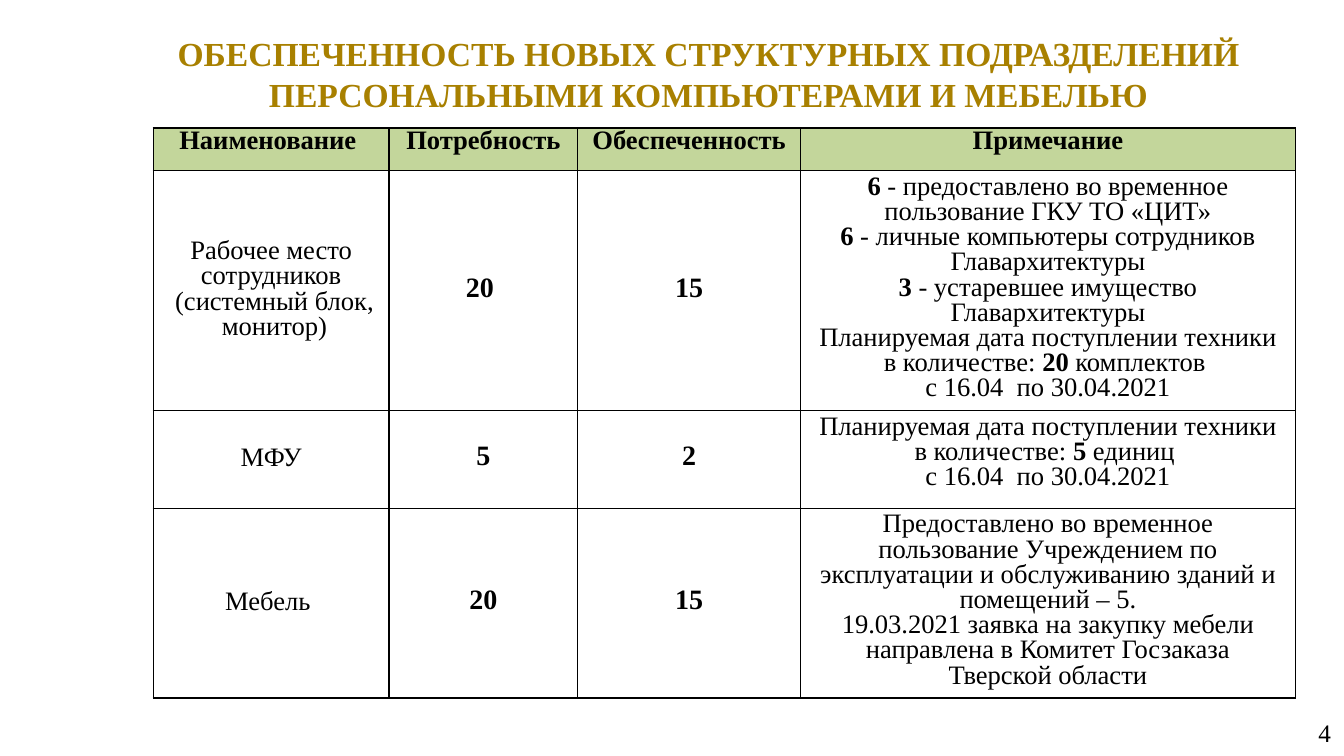
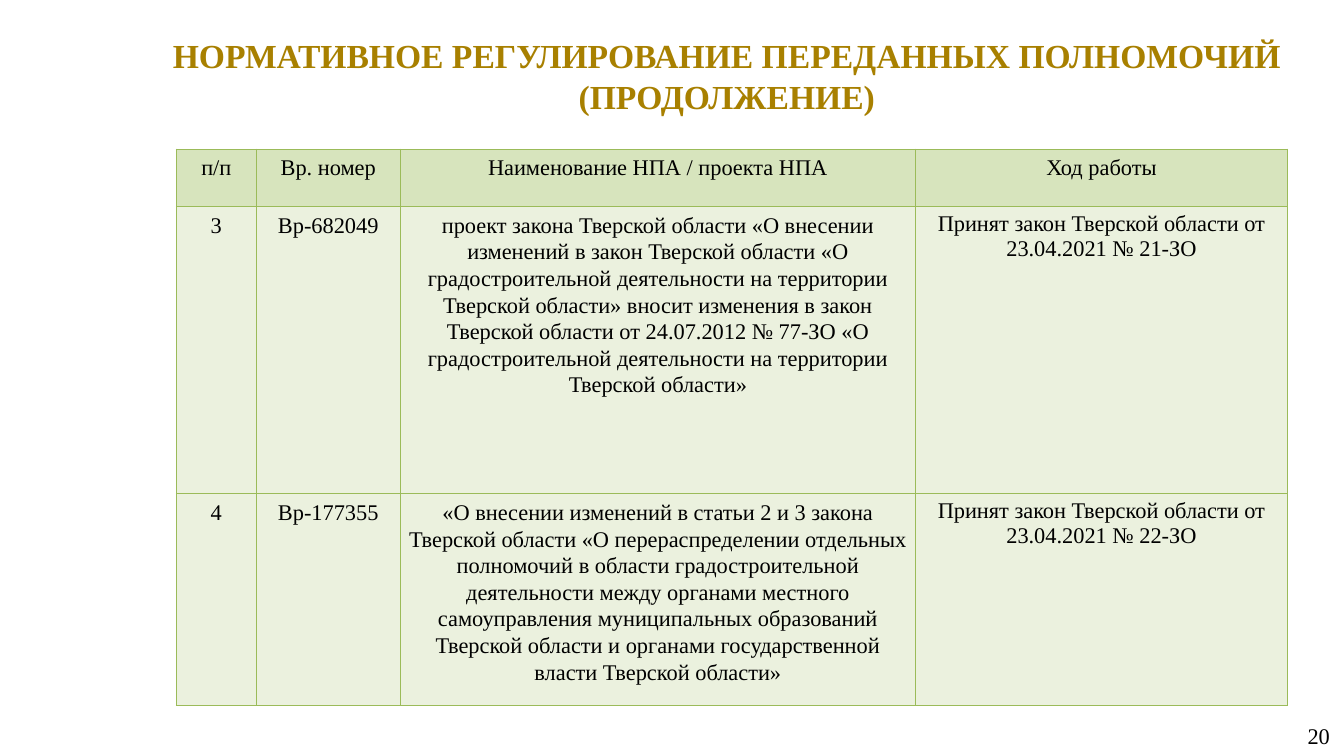
from lxml import etree
from pptx import Presentation, util as u
from pptx.dml import color
from pptx.enum import text as t
from pptx.oxml import ns

WIDTH, HEIGHT = u.Inches(13.33), u.Inches(7.5)
FONT = "Times New Roman"
BLACK, GOLD = "000000", "A88000"
SAGE, LIGHT_GREEN, PALE_GREEN, LEAF = "C3D69B", "D7E4BD", "EBF1DE", "9BBB59"
TOP, MIDDLE = t.MSO_ANCHOR.TOP, t.MSO_ANCHOR.MIDDLE
CENTER, RIGHT = t.PP_ALIGN.CENTER, t.PP_ALIGN.RIGHT
FRAME = {"margin_left": u.Inches(0.13), "margin_right": u.Inches(0.13),
         "margin_top": u.Inches(0.07), "margin_bottom": u.Inches(0.07),
         "word_wrap": True, "auto_size": t.MSO_AUTO_SIZE.NONE}


def across(share):
    """Turn a percentage of the slide width into a length."""
    return u.Emu(round(WIDTH * share / 100))


def down(share):
    """Turn a percentage of the slide height into a length."""
    return u.Emu(round(HEIGHT * share / 100))


def rgb(code):
    return color.RGBColor.from_string(code)


def apply(target, values):
    for name, value in values.items():
        setattr(target, name, value)


def write(frame, content, size, ink=BLACK, bold=False, **layout):
    """Fill a frame, one paragraph a line; ** marks switch the weight."""
    for index, line in enumerate(content.split("\n")):
        para = frame.paragraphs[0] if index == 0 else frame.add_paragraph()
        apply(para, {"alignment": CENTER, **layout})
        for part, words in enumerate(line.split("**")):
            if words:
                span = para.add_run()
                span.text = words
                apply(span.font, {"name": FONT, "size": u.Pt(size),
                                  "bold": bold != (part % 2 == 1)})
                span.font.color.rgb = rgb(ink)


def add_page(deck, title, title_area, anchor, number, number_area, number_size):
    page = deck.slides.add_slide(deck.slide_layouts[5])
    number_box = page.shapes.add_textbox(0, 0, 0, 0)
    for box, area, side in ((page.shapes.title, title_area, anchor),
                            (number_box, number_area, MIDDLE)):
        left, top, width, height = area
        apply(box, {"left": across(left), "top": down(top),
                    "width": across(width), "height": down(height)})
        apply(box.text_frame, {**FRAME, "vertical_anchor": side})
    write(page.shapes.title.text_frame, title, 24, GOLD, True)
    write(number_box.text_frame, number, number_size, alignment=RIGHT)
    return page


def outline(cell, ink):
    properties = cell._tc.get_or_add_tcPr()
    for side in ("lnL", "lnR", "lnT", "lnB"):
        line = etree.SubElement(properties, ns.qn(f"a:{side}"), w=str(u.Pt(0.96)))
        fill = etree.SubElement(line, ns.qn("a:solidFill"))
        etree.SubElement(fill, ns.qn("a:srgbClr"), val=ink)


def add_grid(page, left, top, columns, rows, content, line, margin, style):
    """Draw a table; style(row, column) gives a cell's fill, anchor and text format."""
    table = page.shapes.add_table(
        len(rows), len(columns), across(left), down(top),
        across(sum(columns)), down(sum(rows))).table
    apply(table, {"first_row": False, "horz_banding": False})
    for column, share in zip(table.columns, columns):
        column.width = across(share)
    for row, share in zip(table.rows, rows):
        row.height = down(share)
    for r, texts in enumerate(content):
        for c, words in enumerate(texts):
            cell = table.cell(r, c)
            fill, anchor, format_values = style(r, c)
            apply(cell, {"margin_left": u.Inches(margin),
                         "margin_right": u.Inches(margin),
                         "margin_top": u.Inches(0.05),
                         "margin_bottom": u.Inches(0.05),
                         "vertical_anchor": anchor})
            outline(cell, line)
            if fill:
                cell.fill.solid()
                cell.fill.fore_color.rgb = rgb(fill)
            else:
                cell.fill.background()
            write(cell.text_frame, words, **format_values)


def supply_style(row, column):
    if row == 0:
        return SAGE, TOP, {"size": 19, "bold": True, "line_spacing": u.Pt(16)}
    is_count = column in (1, 2)
    size = 20 if is_count else 19
    return None, TOP if column == 3 else MIDDLE, {
        "size": size, "bold": is_count, "line_spacing": u.Pt(18)}


def law_style(row, column):
    values = {"size": 16}
    if row == 0 or column < 3:
        values.update(line_spacing=1.07, space_after=u.Pt(8))
    return PALE_GREEN if row else LIGHT_GREEN, TOP, values


SUPPLIES = [
    ("Наименование ", "Потребность", "Обеспеченность", "Примечание"),
    ("Рабочее место сотрудников\n (системный блок,\n монитор)", "20 ", "15",
     "**6** - предоставлено во временное пользование ГКУ ТО «ЦИТ»\n"
     "**6** - личные компьютеры сотрудников Главархитектуры\n"
     "**3** - устаревшее имущество Главархитектуры\n"
     "Планируемая дата поступлении техники в количестве: **20** комплектов \n"
     "с 16.04  по 30.04.2021"),
    ("МФУ", "5", "2",
     "Планируемая дата поступлении техники в количестве: **5** единиц \n"
     "с 16.04  по 30.04.2021"),
    ("Мебель ", "20", "15",
     "Предоставлено во временное пользование Учреждением по эксплуатации и "
     "обслуживанию зданий и помещений – 5.\n"
     "19.03.2021 заявка на закупку мебели направлена в Комитет Госзаказа "
     "Тверской области"),
]
LAWS = [
    ("п/п", "Вр. номер", "Наименование НПА / проекта НПА", "Ход работы"),
    ("3", "Вр-682049",
     "проект закона Тверской области «О внесении изменений в закон Тверской "
     "области «О градостроительной деятельности на территории Тверской области» "
     "вносит изменения в закон Тверской области от 24.07.2012 № 77-ЗО "
     "«О градостроительной деятельности на территории Тверской области»",
     "Принят закон Тверской области от 23.04.2021 № 21-ЗО"),
    ("4", "Вр-177355",
     "«О внесении изменений в статьи 2 и 3 закона Тверской области "
     "«О перераспределении отдельных полномочий в области градостроительной "
     "деятельности между органами местного самоуправления муниципальных "
     "образований Тверской области и органами государственной власти "
     "Тверской области»",
     "Принят закон Тверской области от 23.04.2021 № 22-ЗО"),
]


def main():
    deck = Presentation()
    apply(deck, {"slide_width": WIDTH, "slide_height": HEIGHT})

    page = add_page(
        deck, "ОБЕСПЕЧЕННОСТЬ НОВЫХ СТРУКТУРНЫХ ПОДРАЗДЕЛЕНИЙ "
        "ПЕРСОНАЛЬНЫМИ КОМПЬЮТЕРАМИ И МЕБЕЛЬЮ",
        (9.82, 3.07, 85.8, 13.33), MIDDLE, "4", (76.67, 94.27, 23.33, 5.33), 18)
    add_grid(page, 11.4, 16.93, (17.55, 14.03, 16.58, 36.83),
             (5.65, 31.73, 12.93, 25.1), SUPPLIES, BLACK, 0.13, supply_style)

    page = add_page(
        deck, "НОРМАТИВНОЕ РЕГУЛИРОВАНИЕ ПЕРЕДАННЫХ ПОЛНОМОЧИЙ (ПРОДОЛЖЕНИЕ)",
        (11.03, 3.73, 86.1, 12.4), TOP, "20", (76.6, 94.67, 23.33, 5.33), 16)
    add_grid(page, 13.13, 19.73, (5.93, 10.73, 38.33, 27.68),
             (7.6, 38, 28), LAWS, LEAF, 0.02, law_style)

    deck.save("out.pptx")


if __name__ == "__main__":
    main()
